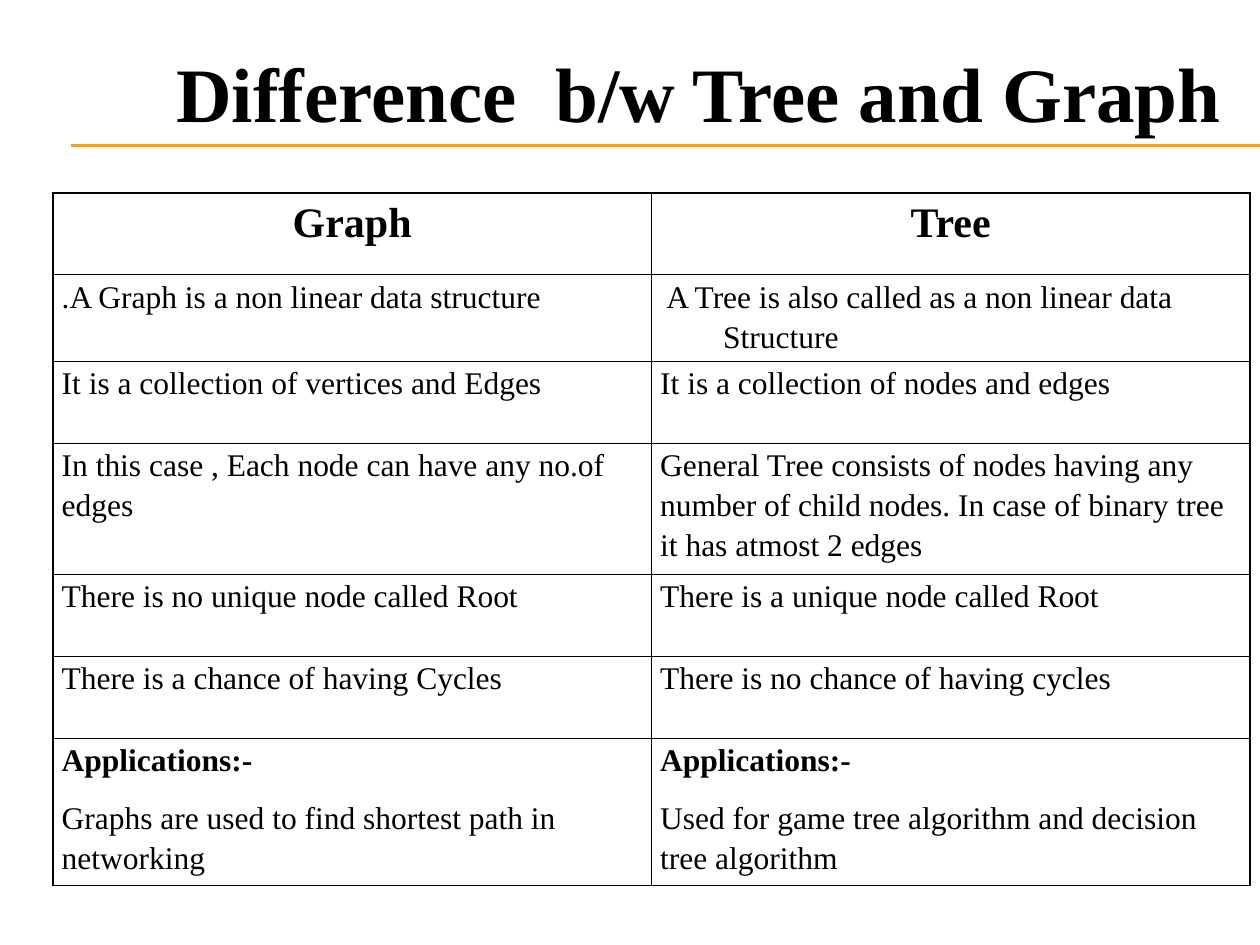
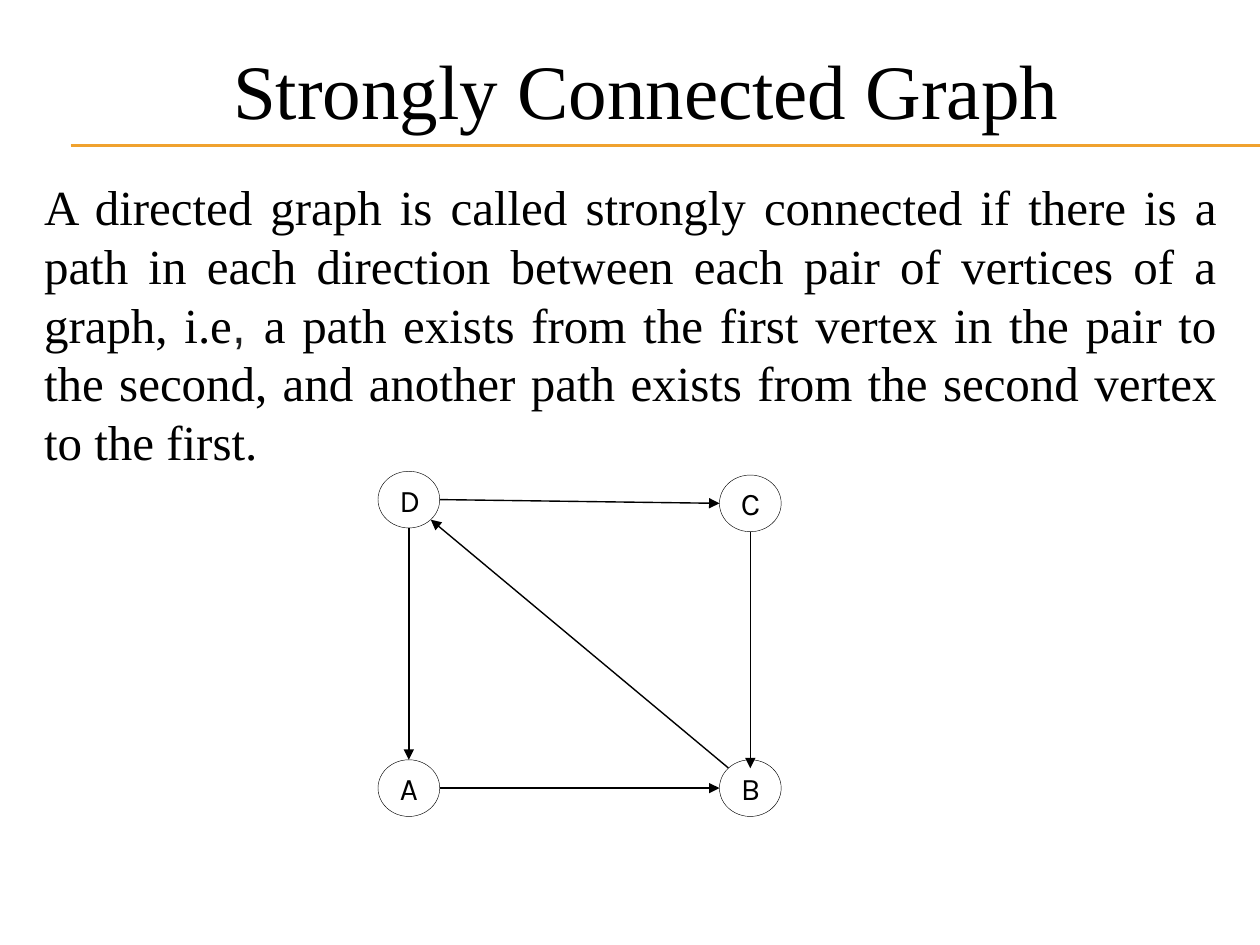
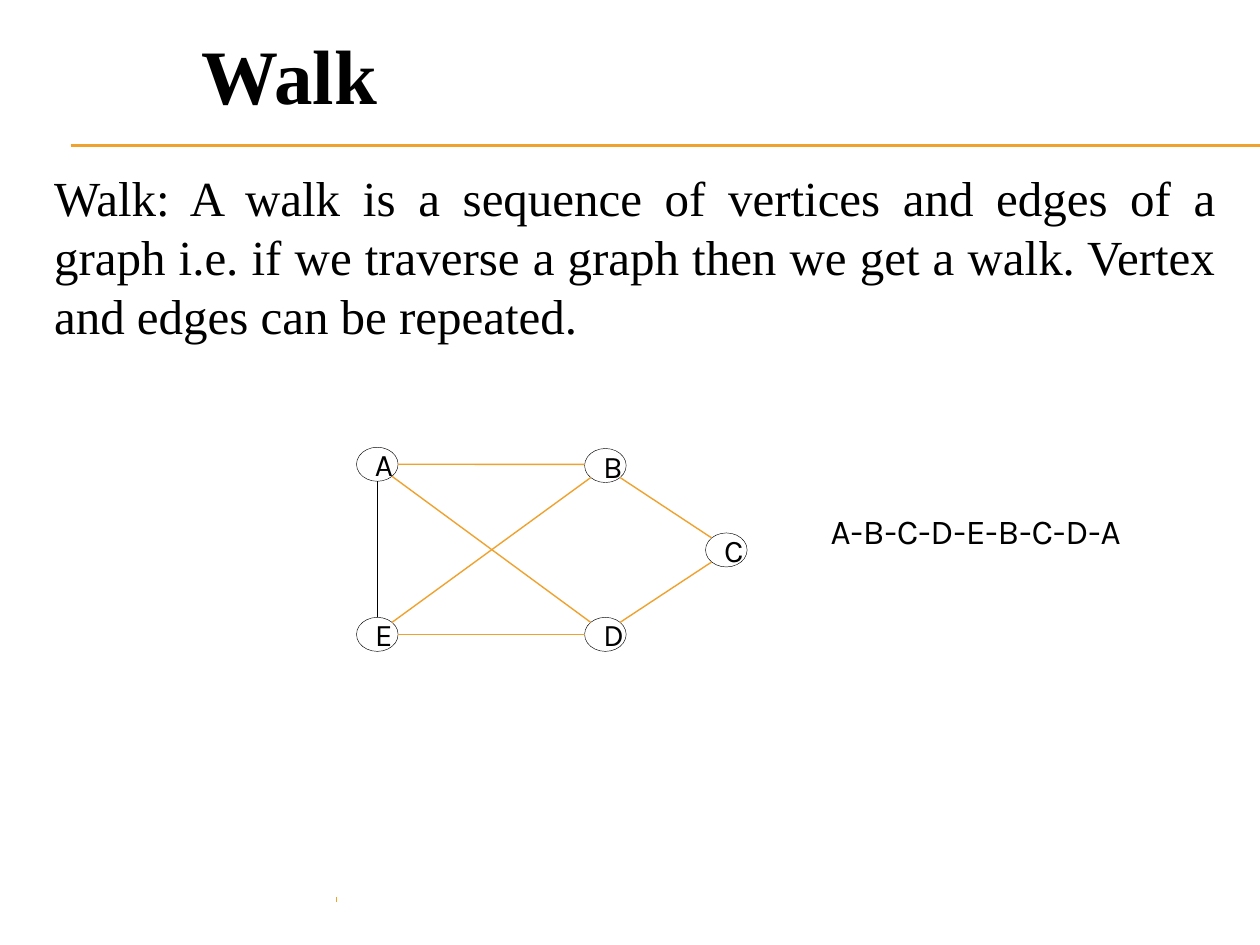
from dataclasses import dataclass

from lxml.etree import SubElement
from pptx import Presentation
from pptx.dml.color import RGBColor
from pptx.enum.shapes import MSO_CONNECTOR, MSO_SHAPE
from pptx.enum.text import MSO_ANCHOR, MSO_AUTO_SIZE, PP_ALIGN
from pptx.oxml.ns import qn
from pptx.util import Inches, Pt

HUES = {"ink": "000000", "gold": "F0A22E", "grey": "202122"}
SERIF, SANS, LABEL = "Times New Roman", "Arial", "Karla"
DIAG = 0.71
LOOSE = 1.15

# Points on the rim of a node, as shares of its half width and half height
TOP, LOW, LEFT, RIGHT = (0, -1), (0, 1), (-1, 0), (1, 0)
TOP_LEFT, TOP_RIGHT = (-DIAG, -DIAG), (DIAG, -DIAG)
LOW_LEFT, LOW_RIGHT = (-DIAG, DIAG), (DIAG, DIAG)
INNER_TOP = (0, -0.7)
UPPER_LEFT = (-1, -0.07)


@dataclass(frozen=True)
class Span:
    """A run of text with its look."""
    text: str
    size: float = 28
    font: str = SERIF
    hue: str = "ink"
    bold: bool = False


@dataclass(frozen=True)
class Box:
    """A rectangle in inches."""
    left: float
    top: float
    width: float
    height: float

    def lengths(self) -> list:
        """Return the four measures as lengths."""
        return [Inches(v) for v in (self.left, self.top, self.width, self.height)]

    def point(self, port: tuple) -> tuple:
        """Return the place of a port on the rim."""
        return (self.left + self.width / 2 * (1 + port[0]),
                self.top + self.height / 2 * (1 + port[1]))


@dataclass(frozen=True)
class Edge:
    """A line between the ports of two nodes."""
    start: str
    out: tuple
    end: str
    into: tuple
    hue: str = "ink"
    arrow: bool = False


def tint(name: str) -> RGBColor:
    """Return a named colour."""
    return RGBColor.from_string(HUES[name])


def write(para, spans: list, align=PP_ALIGN.LEFT, leading: float = 1.0,
          after: float = 0) -> None:
    """Fill a paragraph run by run."""
    para.alignment = align
    para.line_spacing = leading
    para.space_before = Pt(0)
    para.space_after = Pt(after)
    for span in spans:
        run = para.add_run()
        run.text = span.text
        font = run.font
        font.name, font.size, font.bold = span.font, Pt(span.size), span.bold
        font.color.rgb = tint(span.hue)


def place(holder, box: Box):
    """Move a placeholder and return its plain, top-set text frame."""
    holder.left, holder.top, holder.width, holder.height = box.lengths()
    frame = holder.text_frame
    frame.word_wrap = True
    frame.auto_size = MSO_AUTO_SIZE.NONE
    frame.vertical_anchor = MSO_ANCHOR.TOP
    return frame


def draw_line(shapes, start: tuple, end: tuple, hue: str, width: float = 0.79,
              arrow: bool = False) -> None:
    """Draw a straight line, with an arrowhead if asked."""
    line = shapes.add_connector(MSO_CONNECTOR.STRAIGHT,
                                *[Inches(v) for v in (*start, *end)])
    line.line.color.rgb = tint(hue)
    line.line.width = Pt(width)
    if arrow:
        SubElement(line.line._get_or_add_ln(), qn("a:tailEnd"), type="triangle")
    SubElement(line._element.spPr, qn("a:effectLst"))


def start_slide(deck, layout: int, title: str, box: Box, bold: bool = False,
                leading: float = 1.0):
    """Add a slide with its title and the double gold rule."""
    slide = deck.slides.add_slide(deck.slide_layouts[layout])
    for level in (1.15, 1.16):
        draw_line(slide.shapes, (0.56, level), (10, level), "gold", 0.75)
    frame = place(slide.shapes.title, box)
    write(frame.paragraphs[0], [Span(title, 44, bold=bold)], leading=leading)
    return slide


def add_body(slide, box: Box, spans: list) -> None:
    """Write the justified body text without a bullet."""
    para = place(slide.placeholders[1], box).paragraphs[0]
    write(para, spans, PP_ALIGN.JUSTIFY)
    props = para._p.get_or_add_pPr()
    props.set("marL", "0")
    props.set("indent", "0")
    SubElement(props, qn("a:buNone"))


def add_graph(slide, nodes: dict, edges: list) -> None:
    """Draw a group of named nodes and the edges between them."""
    shapes = slide.shapes.add_group_shape().shapes
    for name, box in nodes.items():
        node = shapes.add_shape(MSO_SHAPE.OVAL, *box.lengths())
        node.shadow.inherit = False
        node.fill.background()
        node.line.color.rgb = tint("ink")
        node.line.width = Pt(0.25)
        frame = node.text_frame
        frame.word_wrap = True
        frame.vertical_anchor = MSO_ANCHOR.MIDDLE
        write(frame.paragraphs[0], [Span(name, 18, LABEL)], PP_ALIGN.CENTER)
    for edge in edges:
        draw_line(shapes, nodes[edge.start].point(edge.out),
                  nodes[edge.end].point(edge.into), edge.hue, arrow=edge.arrow)


def frame_cell(cell) -> None:
    """Clear a cell's fill and give it thin black borders."""
    props = cell._tc.get_or_add_tcPr()
    for side in ("lnL", "lnR", "lnT", "lnB"):
        edge = SubElement(props, qn(f"a:{side}"), w=str(Pt(1)))
        fill = SubElement(edge, qn("a:solidFill"))
        SubElement(fill, qn("a:srgbClr"), val=HUES["ink"])
    cell.fill.background()
    cell.margin_left = cell.margin_right = Inches(0.07)
    cell.margin_top = cell.margin_bottom = 0


def add_grid(slide, box: Box, rows: list, heights: list) -> None:
    """Draw the table; a cell holds a list of paragraphs."""
    grid = slide.shapes.add_table(len(rows), 2, *box.lengths()).table
    grid.first_row = grid.horz_banding = False
    for i, (row, height) in enumerate(zip(rows, heights)):
        grid.rows[i].height = Inches(height)
        for j, lines in enumerate(row):
            cell = grid.cell(i, j)
            frame_cell(cell)
            frame = cell.text_frame
            for k, text in enumerate(lines):
                para = frame.add_paragraph() if k else frame.paragraphs[0]
                head = i == 0
                bold = head or text == USES
                write(para, [Span(text, 24 if head else 18, bold=bold)],
                      PP_ALIGN.CENTER if head else PP_ALIGN.LEFT, LOOSE, 10)
    hang = grid.cell(1, 1).text_frame.paragraphs[0]._p.get_or_add_pPr()
    hang.set("marL", str(Inches(0.5)))
    hang.set("indent", str(-Inches(0.5)))


USES = "Applications:-"
ROWS = [
    (["Graph"], ["Tree"]),
    ([".A Graph is a non linear data structure"],
     [" A Tree is also called as a non linear data Structure"]),
    (["It is a collection of vertices and Edges"],
     ["It is a collection of nodes and edges"]),
    (["In this case , Each node can have any no.of edges"],
     ["General Tree consists of nodes having any number of child nodes. "
      "In case of binary tree it has atmost 2 edges"]),
    (["There is no unique node called Root"],
     ["There is a unique node called Root"]),
    (["There is a chance of having Cycles"],
     ["There is no chance of having cycles"]),
    ([USES, "Graphs are used to find shortest path in networking"],
     [USES, "Used for game tree algorithm and decision tree algorithm"]),
]
HEIGHTS = [0.65, 0.69, 0.65, 1.04, 0.65, 0.65, 1.17]


def show_table(deck) -> None:
    """Build the slide that compares trees and graphs."""
    slide = start_slide(deck, 5, "Difference  b/w Tree and Graph",
                        Box(1.3, 0.2, 9.5, 0.88), True, LOOSE)
    add_grid(slide, Box(0.42, 1.53, 9.5, sum(HEIGHTS)), ROWS, HEIGHTS)


def show_strong(deck) -> None:
    """Build the slide on strongly connected graphs."""
    slide = start_slide(deck, 1, "Strongly Connected Graph",
                        Box(1.75, 0.29, 8.25, 0.84))
    add_body(slide, Box(0.25, 1.35, 9.51, 5.83), [
        Span("A directed graph is called strongly connected if there is a path "
             "in each direction between each pair of vertices of a graph, i.e"),
        Span(", ", font=SANS, hue="grey"),
        Span("a path exists from the first vertex in the pair to the second, "
             "and another path exists from the second vertex to the first."),
    ])
    spots = {"C": (5.71, 3.77), "A": (3, 6.03), "D": (3, 3.74), "B": (5.71, 6.03)}
    nodes = {name: Box(*spot, 0.49, 0.45) for name, spot in spots.items()}
    links = [("D", LOW, "A", TOP), ("A", RIGHT, "B", LEFT),
             ("B", TOP_LEFT, "D", LOW_RIGHT), ("D", RIGHT, "C", LEFT),
             ("C", LOW, "B", INNER_TOP)]
    add_graph(slide, nodes, [Edge(*link, arrow=True) for link in links])


def show_walk(deck) -> None:
    """Build the slide on walks."""
    slide = start_slide(deck, 1, "Walk", Box(1.5, 0.17, 8.25, 0.84), True)
    add_body(slide, Box(0.33, 1.28, 9.42, 6.12), [
        Span("Walk: A walk is a sequence of vertices and edges of a graph i.e. "
             "if we traverse a graph then we get a walk. Vertex and edges can "
             "be repeated."),
    ])
    draw_line(slide.shapes, (2.67, 7.16), (2.67, 7.12), "gold")
    spots = {"B": (4.64, 3.56), "E": (2.83, 4.9), "A": (2.83, 3.55),
             "D": (4.64, 4.9), "C": (5.6, 4.23)}
    nodes = {name: Box(*spot, 0.33, 0.27) for name, spot in spots.items()}
    links = [("A", RIGHT, "B", UPPER_LEFT), ("A", LOW_RIGHT, "D", TOP_LEFT),
             ("B", LOW_LEFT, "E", TOP_RIGHT), ("E", RIGHT, "D", LEFT),
             ("B", LOW_RIGHT, "C", TOP_LEFT), ("D", TOP_RIGHT, "C", LOW_LEFT)]
    edges = [Edge(*link, hue="gold") for link in links]
    add_graph(slide, nodes, edges + [Edge("A", LOW, "E", TOP)])
    note = slide.shapes.add_textbox(*Box(6.08, 3.64, 3.33, 1.44).lengths())
    frame = note.text_frame
    frame.word_wrap = True
    frame.vertical_anchor = MSO_ANCHOR.MIDDLE
    frame.margin_bottom = Inches(0.35)
    write(frame.paragraphs[0], [Span("A-B-C-D-E-B-C-D-A", 20, LABEL)],
          PP_ALIGN.CENTER)


def main() -> None:
    """Build and save the deck."""
    deck = Presentation()
    deck.slide_width, deck.slide_height = Inches(10), Inches(7.5)
    for show in (show_table, show_strong, show_walk):
        show(deck)
    deck.save("out.pptx")


main()
